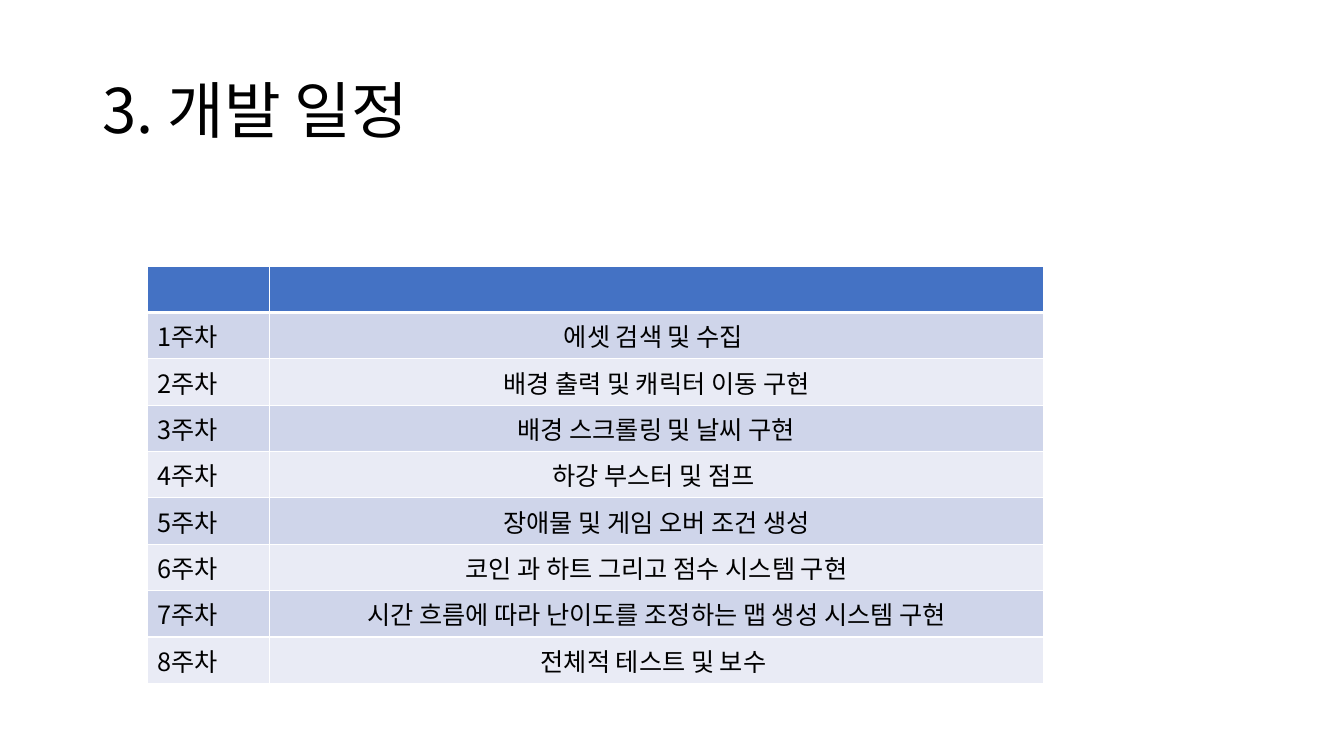
"""Build the development schedule slide."""
from lxml import etree
from pptx import Presentation
from pptx import util as u
from pptx.dml.color import RGBColor
from pptx.enum import text
from pptx.oxml.ns import qn

TITLE = "3. 개발 일정"
TASKS = [
    "에셋 검색 및 수집 ",
    "배경 출력 및 캐릭터 이동 구현",
    "배경 스크롤링 및 날씨 구현",
    "하강 부스터 및 점프 ",
    "장애물 및 게임 오버 조건 생성",
    "코인 과 하트 그리고 점수 시스템 구현",
    "시간 흐름에 따라 난이도를 조정하는 맵 생성 시스템 구현",
    "전체적 테스트 및 보수 ",
]
SCHEDULE = [("", "")] + [(f"{week}주차", task) for week, task in enumerate(TASKS, 1)]
COLORS = {"text": "000000", "header": "4472C4", "odd": "CFD5EA",
          "even": "E9EBF5", "border": "FFFFFF"}
FONT = "Noto Sans CJK KR"
TITLE_BOX = (0.92, 0.4, 11.5, 1.45)
TABLE_LEFT, TABLE_TOP, ROW_HEIGHT = 1.46, 2.64, 0.46
COLUMN_WIDTHS = (1.21, 7.68)
ALIGNMENTS = (text.PP_ALIGN.LEFT, text.PP_ALIGN.CENTER)


def write(paragraph, words, size):
    run = paragraph.add_run()
    run.text = words
    for name, value in {"name": FONT, "size": u.Pt(size)}.items():
        setattr(run.font, name, value)
    run.font.color.rgb = RGBColor.from_string(COLORS["text"])
    east_asian = etree.SubElement(run.font._element, qn("a:ea"))
    east_asian.set("typeface", FONT)


def add_borders(cell, row):
    widths = {"L": 1, "R": 1, "T": 3 if row == 1 else 1, "B": 3 if row == 0 else 1}
    properties = cell._tc.get_or_add_tcPr()
    for side, width in widths.items():
        line = etree.SubElement(properties, qn(f"a:ln{side}"), w=str(u.Pt(width)))
        fill = etree.SubElement(line, qn("a:solidFill"))
        etree.SubElement(fill, qn("a:srgbClr"), val=COLORS["border"])


def add_title(slide):
    frame = slide.shapes.add_textbox(*map(u.Inches, TITLE_BOX)).text_frame
    frame.word_wrap = True
    frame.vertical_anchor = text.MSO_ANCHOR.MIDDLE
    heading = frame.paragraphs[0]
    heading.line_spacing = 0.9
    write(heading, TITLE, 44)


def add_schedule(slide):
    size = (sum(COLUMN_WIDTHS), ROW_HEIGHT * len(SCHEDULE))
    schedule = slide.shapes.add_table(
        len(SCHEDULE), len(COLUMN_WIDTHS),
        *map(u.Inches, (TABLE_LEFT, TABLE_TOP, *size))).table
    for column, width in zip(schedule.columns, COLUMN_WIDTHS):
        column.width = u.Inches(width)
    for row, entries in enumerate(SCHEDULE):
        schedule.rows[row].height = u.Inches(ROW_HEIGHT)
        band = "header" if row == 0 else "odd" if row % 2 else "even"
        for column, words in enumerate(entries):
            cell = schedule.cell(row, column)
            add_borders(cell, row)
            cell.fill.solid()
            cell.fill.fore_color.rgb = RGBColor.from_string(COLORS[band])
            if words:
                paragraph = cell.text_frame.paragraphs[0]
                paragraph.alignment = ALIGNMENTS[column]
                write(paragraph, words, 18)


def main():
    deck = Presentation()
    deck.slide_width, deck.slide_height = u.Inches(13.33), u.Inches(7.5)
    slide = deck.slides.add_slide(deck.slide_layouts[6])
    add_title(slide)
    add_schedule(slide)
    deck.save("out.pptx")


if __name__ == "__main__":
    main()
